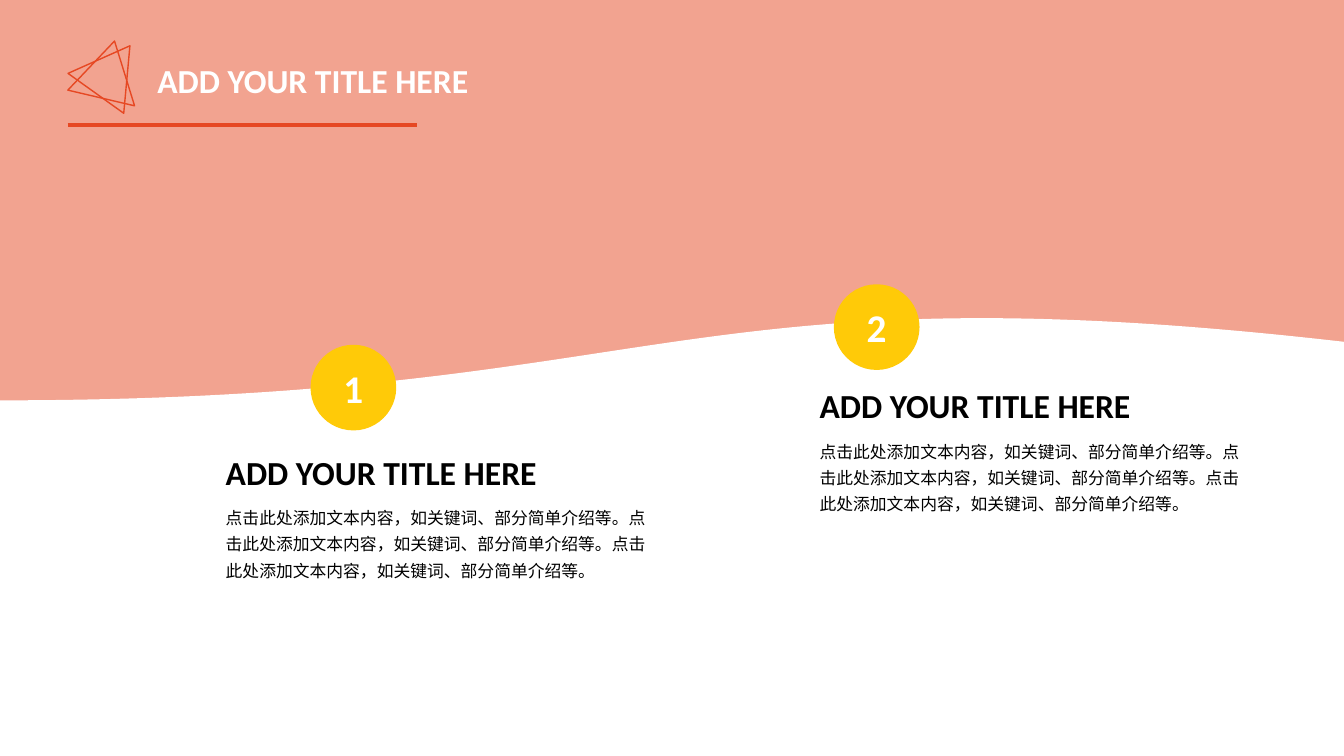
from lxml import etree
from pptx import Presentation, util as u
from pptx.dml.color import RGBColor
from pptx.enum import shapes, text
from pptx.oxml import ns

ORANGE = RGBColor(0xE6, 0x48, 0x23)
YELLOW = RGBColor(0xFF, 0xCA, 0x08)
WHITE = RGBColor(0xFF, 0xFF, 0xFF)
BLACK = RGBColor(0, 0, 0)
HEADING = "ADD YOUR TITLE HERE"
BODY = "点击此处添加文本内容，如关键词、部分简单介绍等。" * 3
BADGE = 0.85
HEADING_WIDTH, HEADING_HEIGHT = 3.6, 0.5

presentation = Presentation()
presentation.slide_width = u.Inches(13.33)
presentation.slide_height = u.Inches(7.5)
slide = presentation.slides.add_slide(presentation.slide_layouts[5])


def add_shape(owner, kind, left, top, width, height, fill=None):
    shape = owner.add_shape(kind, *map(u.Inches, (left, top, width, height)))
    shape.shadow.inherit = False
    if fill is None:
        shape.fill.background()
        shape.line.color.rgb = ORANGE
        shape.line.width = u.Pt(1)
    else:
        shape.fill.solid()
        shape.fill.fore_color.rgb = fill
        shape.line.fill.background()
    return shape


def write(shape, words, size, color, bold, align=text.PP_ALIGN.LEFT,
          anchor=text.MSO_ANCHOR.TOP, spacing=1):
    frame = shape.text_frame
    frame.text = words
    frame.word_wrap = True
    frame.vertical_anchor = anchor
    paragraph = frame.paragraphs[0]
    paragraph.alignment = align
    paragraph.line_spacing = spacing
    font = paragraph.runs[0].font
    font.name, font.size, font.bold = "Calibri", u.Pt(size), bold
    font.color.rgb = color


backdrop = add_shape(slide.shapes, shapes.MSO_SHAPE.RECTANGLE, -0.02, 0, 13.35, 7.5, ORANGE)
tint = backdrop.fill._xPr.find(".//" + ns.qn("a:srgbClr"))
etree.SubElement(tint, ns.qn("a:alpha"), val="50000")

emblem = slide.shapes.add_group_shape()
for left, angle in ((0.78, 35.6), (0.73, 13.2)):
    triangle = add_shape(emblem.shapes, shapes.MSO_SHAPE.ISOSCELES_TRIANGLE, left, 0.4, 0.68, 0.58)
    triangle.rotation = angle

underline = slide.shapes.add_connector(
    shapes.MSO_CONNECTOR.STRAIGHT, *map(u.Inches, (0.67, 1.24, 4.14, 1.24)))
underline.line.color.rgb = ORANGE
underline.line.width = u.Pt(3)
etree.SubElement(underline._element.spPr, ns.qn("a:effectLst"))

wave = add_shape(slide.shapes, shapes.MSO_SHAPE.FLOWCHART_DOCUMENT, -0.02, 3.1, 13.35, 4.4, WHITE)
wave.rotation = 180

title = slide.shapes.title
title.left, title.top = u.Inches(1.46), u.Inches(0.54)
title.width, title.height = u.Inches(HEADING_WIDTH), u.Inches(HEADING_HEIGHT)
write(title, HEADING, 24, WHITE, True)
wave._element.addnext(title._element)

sections = (("1", 3.08, 3.42, 2.14, 4.43), ("2", 8.27, 2.82, 8.03, 3.77))
for number, badge_left, badge_top, left, top in sections:
    badge = add_shape(slide.shapes, shapes.MSO_SHAPE.OVAL, badge_left, badge_top, BADGE, BADGE, YELLOW)
    write(badge, number, 28, WHITE, True, text.PP_ALIGN.CENTER, text.MSO_ANCHOR.MIDDLE)

    heading = slide.shapes.add_textbox(
        *map(u.Inches, (left, top, HEADING_WIDTH, HEADING_HEIGHT)))
    write(heading, HEADING, 24, BLACK, True)

    body = slide.shapes.add_textbox(
        *map(u.Inches, (left, top + HEADING_HEIGHT, 4.42, 0.89)))
    write(body, BODY, 12, BLACK, False, spacing=1.3)

presentation.save("out.pptx")
